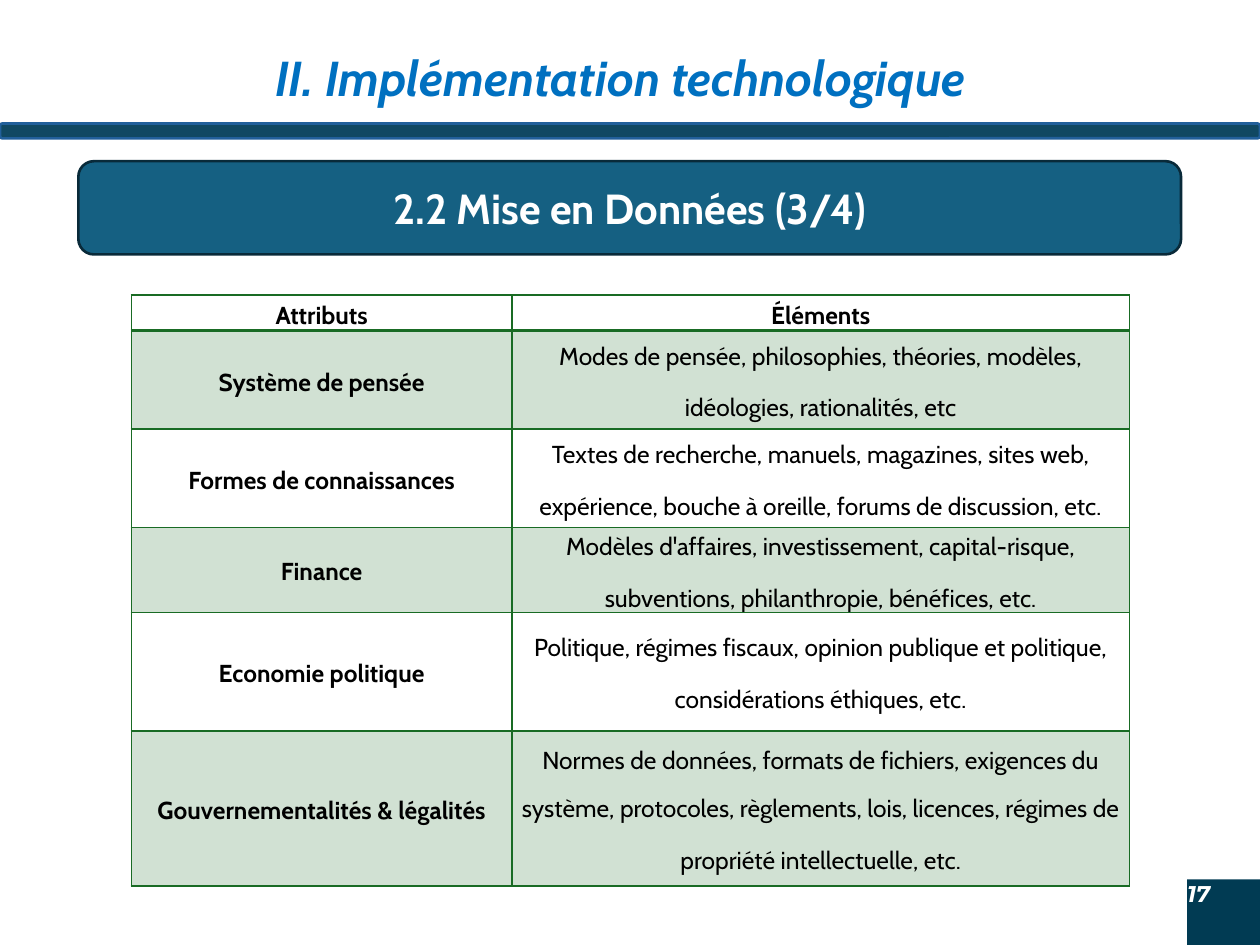
from lxml import etree
from pptx import Presentation
from pptx.dml.color import RGBColor
from pptx.enum.shapes import MSO_SHAPE as SHAPE
from pptx.enum.text import MSO_ANCHOR as ANCHOR, PP_ALIGN as ALIGN
from pptx.oxml.ns import qn
from pptx.util import Cm, Pt

GREEN = "196B24"
HEADER = ("Attributs", ["Éléments"])
ROWS = [
    ("Système de pensée",
     ["Modes de pensée, philosophies, théories, modèles,",
      "idéologies, rationalités, etc"]),
    ("Formes de connaissances",
     ["Textes de recherche, manuels, magazines, sites web,",
      "expérience, bouche à oreille, forums de discussion, etc."]),
    ("Finance",
     ["Modèles d'affaires, investissement, capital-risque,",
      "subventions, philanthropie, bénéfices, etc."]),
    ("Economie politique",
     ["Politique, régimes fiscaux, opinion publique et politique,",
      "considérations éthiques, etc."]),
    ("Gouvernementalités & légalités",
     ["Normes de données, formats de fichiers, exigences du",
      "système, protocoles, règlements, lois, licences, régimes de",
      "propriété intellectuelle, etc."]),
]
COL_WIDTHS = [7.67, 12.45]
ROW_HEIGHTS = [0.72, 1.98, 1.98, 1.71, 2.39, 3.12]


def rgb(value):
    return RGBColor.from_string(value)


class Deck:
    """Holds the house style and the current slide."""
    font = "Cabin"

    def __init__(self, prs):
        self.s = prs.slides.add_slide(prs.slide_layouts[6])

    def set_text(self, tf, lines, size, color, bold=True, italic=False,
                 align=ALIGN.CENTER, font=None):
        tf.text = "\n".join(lines)
        for p in tf.paragraphs:
            p.alignment = align
            for r in p.runs:
                r.font.name = font or self.font
                r.font.size = Pt(size)
                r.font.bold, r.font.italic = bold, italic
                r.font.color.rgb = rgb(color)

    def box(self, kind, place, fill, line=None):
        sp = self.s.shapes.add_shape(kind, *map(Cm, place))
        sp.shadow.inherit = False
        sp.fill.solid()
        sp.fill.fore_color.rgb = rgb(fill)
        if line:
            sp.line.color.rgb = rgb(line)
            sp.line.width = Pt(1.5)
        else:
            sp.line.fill.background()
        return sp

    def title(self, text, place):
        tf = self.s.shapes.add_textbox(*map(Cm, place)).text_frame
        tf.word_wrap = True
        self.set_text(tf, [text], 28, "0070C0", italic=True)

    def banner(self, text, place):
        tf = self.box(SHAPE.ROUNDED_RECTANGLE, place, "156082", "092A39").text_frame
        tf.vertical_anchor = ANCHOR.MIDDLE
        self.set_text(tf, [text], 24, "FFFFFF")

    def page_number(self, text, place):
        tf = self.box(SHAPE.RECTANGLE, place, "013B53").text_frame
        tf.margin_left = tf.margin_right = tf.margin_top = tf.margin_bottom = 0
        tf.word_wrap = False
        tf.vertical_anchor = ANCHOR.TOP
        self.set_text(tf, [text], 13, "FFFFFF", italic=True,
                      align=ALIGN.LEFT, font="Montserrat")

    def borders(self, cell, bottom, top):
        tc_pr = cell._tc.get_or_add_tcPr()
        for side, width in (("L", 1), ("R", 1), ("T", top), ("B", bottom)):
            ln = etree.SubElement(tc_pr, qn(f"a:ln{side}"), w=str(Pt(width)))
            fill = etree.SubElement(ln, qn("a:solidFill"))
            etree.SubElement(fill, qn("a:srgbClr"), val=GREEN)

    def tint(self, cell):
        """Fill the cell with green at 20 % opacity."""
        cell.fill.solid()
        cell.fill.fore_color.rgb = rgb(GREEN)
        color = cell._tc.tcPr.find(f"{qn('a:solidFill')}/{qn('a:srgbClr')}")
        etree.SubElement(color, qn("a:alpha"), val="20000")

    def cell(self, cell, lines, row, bold):
        cell.margin_left = cell.margin_right = Cm(0.19)
        cell.margin_top = cell.margin_bottom = 0
        cell.vertical_anchor = ANCHOR.MIDDLE
        self.set_text(cell.text_frame, lines, 14, "000000", bold)
        for p in cell.text_frame.paragraphs:
            p.line_spacing = 1.15
            p.space_after = Pt(10)
        self.borders(cell, bottom=2 if row == 0 else 1, top=2 if row == 1 else 1)
        if row % 2:
            self.tint(cell)
        else:
            cell.fill.background()

    def table(self, rows, left, top):
        frame = self.s.shapes.add_table(
            len(rows), len(COL_WIDTHS), Cm(left), Cm(top),
            Cm(sum(COL_WIDTHS)), Cm(sum(ROW_HEIGHTS)))
        table = frame.table
        table.first_row = table.horz_banding = False
        for column, width in zip(table.columns, COL_WIDTHS):
            column.width = Cm(width)
        for i, (attribute, elements) in enumerate(rows):
            table.rows[i].height = Cm(ROW_HEIGHTS[i])
            self.cell(table.cell(i, 0), [attribute], i, True)
            self.cell(table.cell(i, 1), elements, i, i == 0)
        return table


def main():
    prs = Presentation()
    prs.slide_width, prs.slide_height = Cm(25.4), Cm(19.05)
    deck = Deck(prs)
    deck.page_number("17", (23.93, 17.73, 1.47, 1.32))
    deck.box(SHAPE.ROUNDED_RECTANGLE, (0, 2.49, 25.4, 0.3), "104862", "215F9A")
    deck.title("II. Implémentation technologique", (2.08, 0.84, 20.85, 1.45))
    deck.banner("2.2 Mise en Données (3/4)", (1.58, 3.25, 22.23, 1.88))
    table = deck.table([HEADER] + ROWS, 2.65, 5.95)
    # The middle line of the last cell is set tighter than the others
    table.cell(5, 1).text_frame.paragraphs[1].line_spacing = 1.0
    prs.save("out.pptx")


if __name__ == "__main__":
    main()
